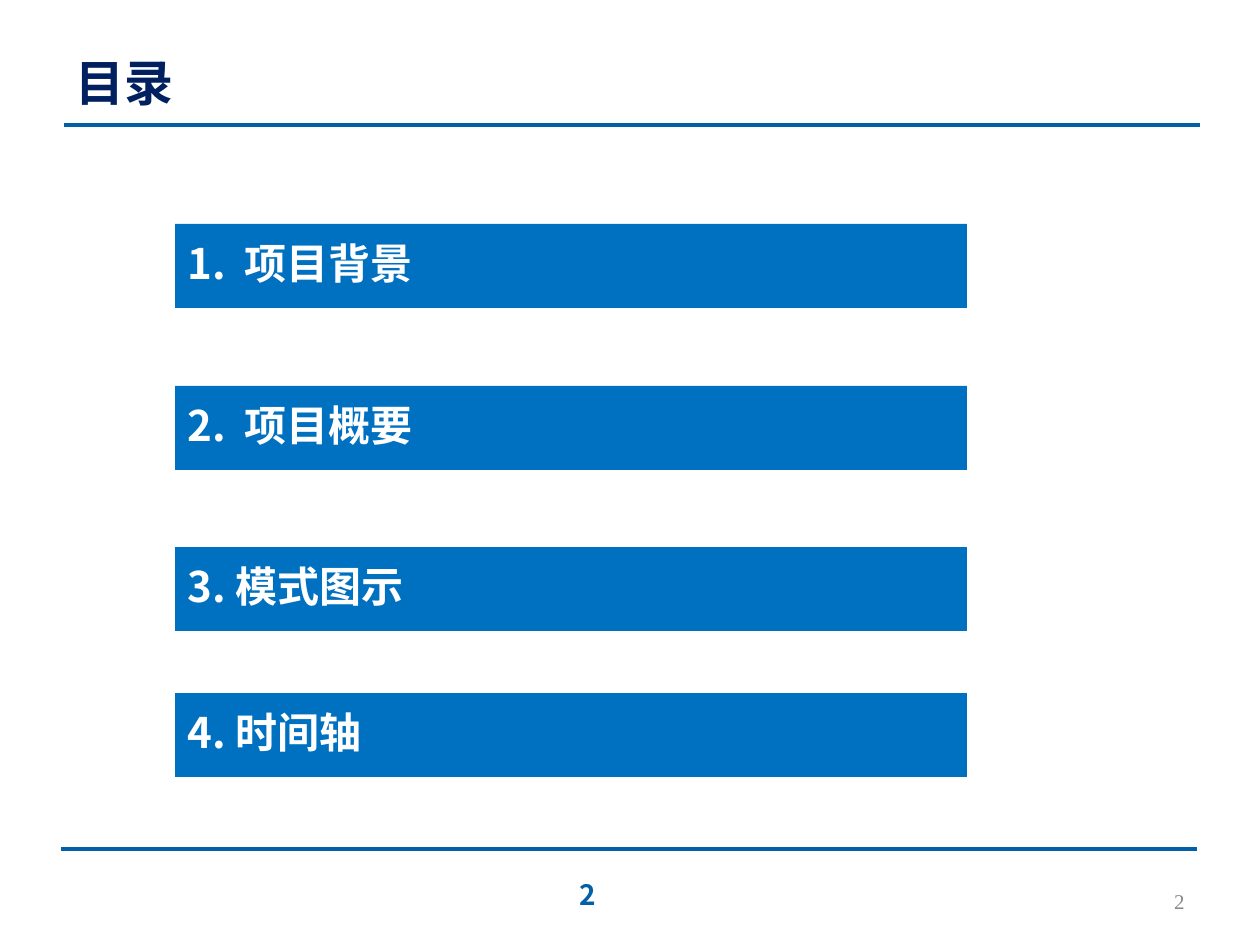
"""Build the contents slide with four agenda bars."""
from lxml import etree
from pptx import Presentation, util as u
from pptx.dml.color import RGBColor
from pptx.enum import shapes, text
from pptx.oxml.ns import qn

SCALE = 914400 // 126
HUES = {"rule": "0160A7", "title": "002060", "bar": "0070C0",
        "white": "FFFFFF", "grey": "898989"}
SANS, SERIF = "Noto Sans CJK SC", "Times New Roman"
ALIGN = text.PP_ALIGN

RULES = [(64, 125), (61, 849)]
RULE_W = 1136
BARS = [("1.  项目背景", 224), ("2.  项目概要", 386),
        ("3. 模式图示", 547), ("4. 时间轴", 693)]
BAR_X, BAR_W, BAR_H = 175, 792, 84
LABELS = [
    ("目录", (63, 38, 1134, 87), ALIGN.LEFT, (28, SANS, "title", True)),
    ("2", (903, 876, 294, 50), ALIGN.RIGHT, (12, SERIF, "grey", False)),
    ("2", (441, 869, 294, 50), ALIGN.CENTER, (16, SANS, "rule", True)),
]


def px(*vals):
    return [u.Emu(v * SCALE) for v in vals]


def hue(name):
    return RGBColor.from_string(HUES[name])


def write(shape, words, align, style, **extra):
    frame = shape.text_frame
    frame.word_wrap = True
    frame.vertical_anchor = text.MSO_ANCHOR.MIDDLE
    para = frame.paragraphs[0]
    for key, val in {"alignment": align, **extra}.items():
        setattr(para, key, val)
    run = para.add_run()
    run.text = words
    size, face, tint, bold = style
    for key, val in {"size": u.Pt(size), "name": face, "bold": bold}.items():
        setattr(run.font, key, val)
    run.font.color.rgb = hue(tint)
    east = etree.SubElement(run.font._element, qn("a:ea"))
    east.set("typeface", face)
    return frame


deck = Presentation()
deck.slide_width, deck.slide_height = px(1260, 945)
slide = deck.slides.add_slide(deck.slide_layouts[6])
items = slide.shapes

for left, top in RULES:
    rule = items.add_connector(shapes.MSO_CONNECTOR.STRAIGHT,
                               *px(left, top, left + RULE_W, top))
    rule.line.color.rgb = hue("rule")
    rule.line.width = u.Pt(2.25)
    etree.SubElement(rule._element.spPr, qn("a:effectLst"))

for words, top in BARS:
    bar = items.add_shape(shapes.MSO_SHAPE.RECTANGLE,
                          *px(BAR_X, top, BAR_W, BAR_H))
    bar.shadow.inherit = False
    bar.fill.solid()
    bar.fill.fore_color.rgb = hue("bar")
    bar.line.fill.background()
    frame = write(bar, words, ALIGN.LEFT, (24, SANS, "white", True),
                  line_spacing=0.9, space_after=u.Pt(8.4))
    for side in ("left", "right", "top", "bottom"):
        setattr(frame, "margin_" + side, u.Inches(0.1))

for words, area, align, style in LABELS:
    write(items.add_textbox(*px(*area)), words, align, style)

deck.save("out.pptx")
